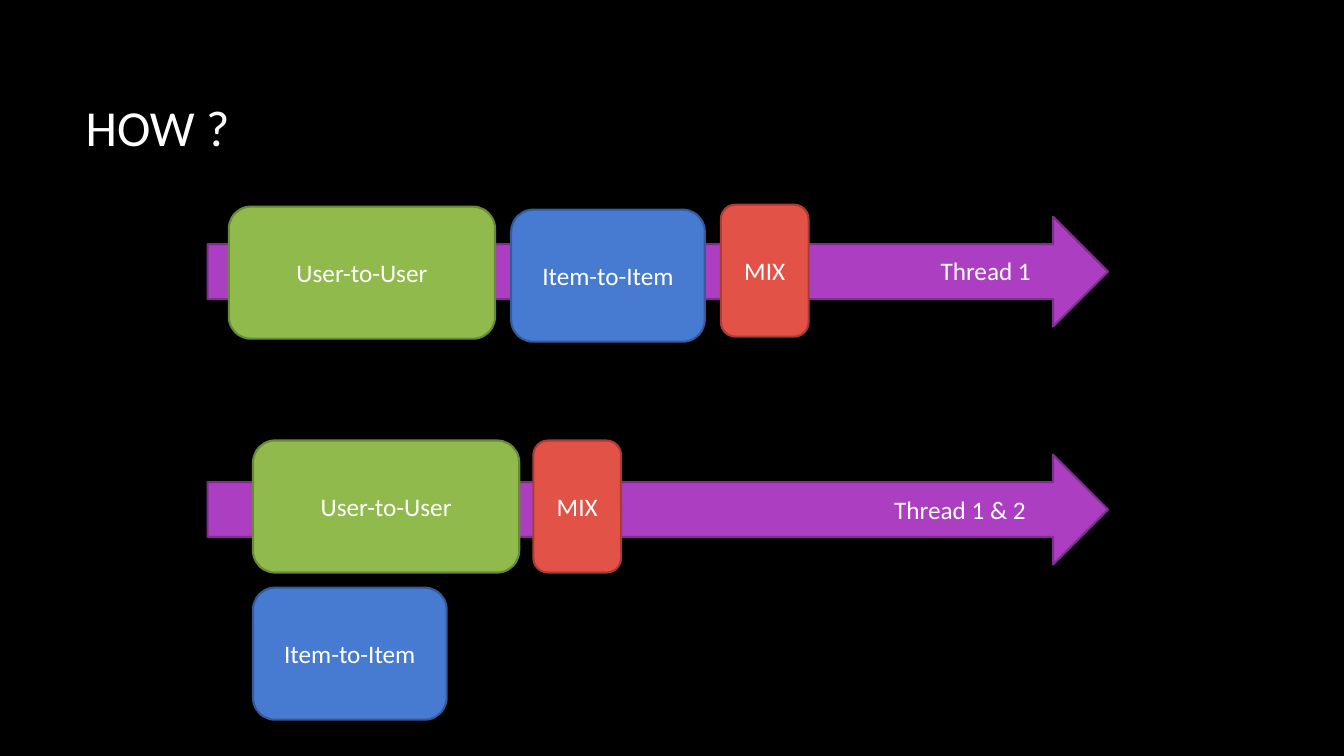
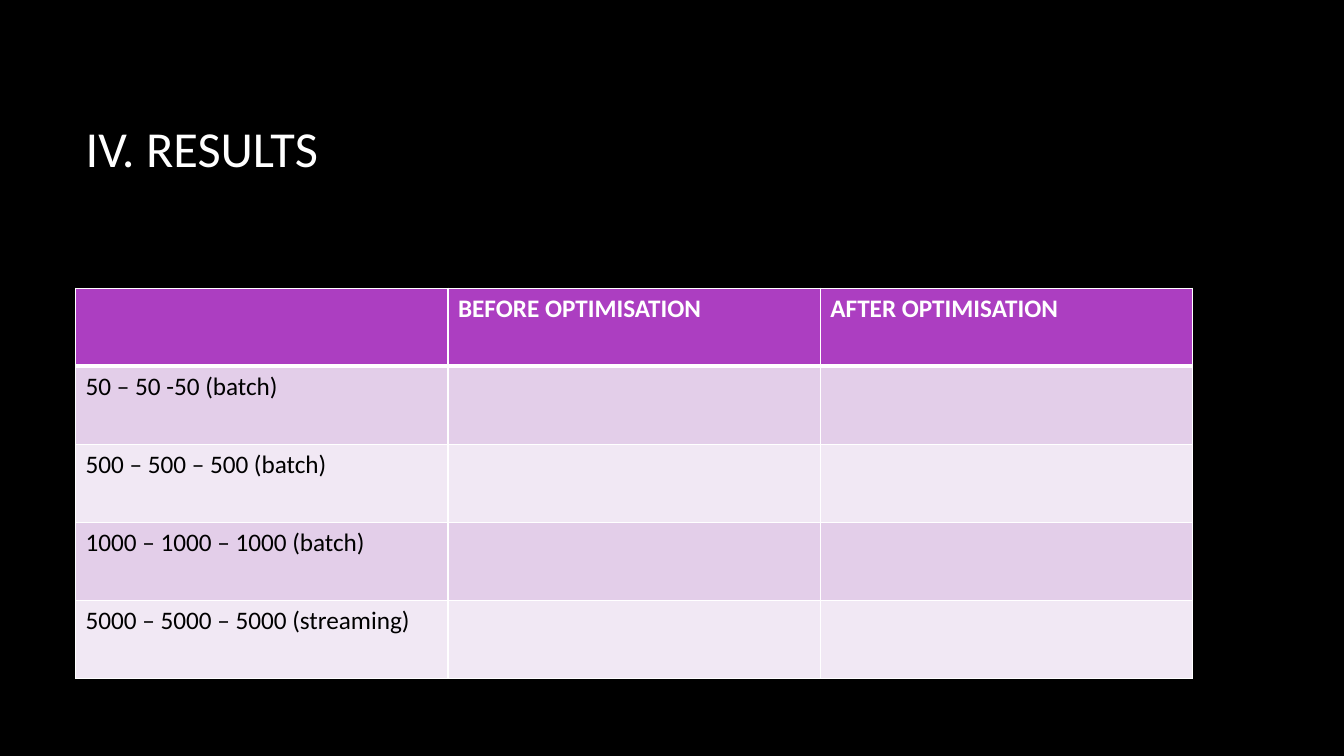
import dataclasses
import typing

import lxml.etree
import pptx
import pptx.dml.color
import pptx.enum.shapes
import pptx.enum.text
import pptx.oxml.ns
import pptx.presentation
import pptx.shapes.autoshape
import pptx.slide
import pptx.table
import pptx.text.text
import pptx.util

Inches = pptx.util.Inches
Pt = pptx.util.Pt
Align = pptx.enum.text.PP_ALIGN
Anchor = pptx.enum.text.MSO_ANCHOR
Preset = pptx.enum.shapes.MSO_SHAPE


@dataclasses.dataclass(frozen=True)
class Theme:
    font: str = "Calibri"
    title_size: float = 36
    body_size: float = 18
    outline: float = 1.5
    rule: float = 1
    header_rule: float = 3
    background: str = "000000"
    light: str = "FFFFFF"
    dark: str = "000000"
    purple: str = "AC3EC1"
    purple_edge: str = "7F2E8F"
    green: str = "90BA4C"
    green_edge: str = "6B8A38"
    blue: str = "477BD1"
    blue_edge: str = "355B9B"
    red: str = "E25247"
    red_edge: str = "A73D35"
    bands: tuple[str, str] = ("E3CEE9", "F1E8F4")


THEME = Theme()
MARGIN = 0.75
CONTENT_WIDTH = 11.08
TASK_HEIGHT = 1.31


@dataclasses.dataclass(frozen=True)
class Task:
    text: str
    width: float
    fill: str
    edge: str


@dataclasses.dataclass(frozen=True)
class Placed:
    task: Task
    left: float
    top: float


@dataclasses.dataclass(frozen=True)
class Thread:
    label: str
    arrow_top: float
    label_left: float
    label_top: float
    label_width: float
    tasks: tuple[Placed, ...]


USER = Task("User-to-User", 2.64, THEME.green, THEME.green_edge)
ITEM = Task("Item-to-Item", 1.92, THEME.blue, THEME.blue_edge)
MIX = Task("MIX", 0.87, THEME.red, THEME.red_edge)

THREADS = (
    Thread("Thread 1", 2.15, 9.23, 2.48, 1.39,
           (Placed(USER, 2.27, 2.05), Placed(ITEM, 5.07, 2.08), Placed(MIX, 7.15, 2.03))),
    Thread("Thread 1 & 2", 4.51, 8.77, 4.86, 1.57,
           (Placed(USER, 2.51, 4.37), Placed(MIX, 5.29, 4.37), Placed(ITEM, 2.51, 5.83))),
)

RESULTS = (
    ("", "BEFORE OPTIMISATION", "AFTER OPTIMISATION"),
    ("50 – 50 -50 (batch)", "", ""),
    ("500 – 500 – 500 (batch)", "", ""),
    ("1000 – 1000 – 1000 (batch)", "", ""),
    ("5000 – 5000 – 5000 (streaming)", "", ""),
)


def rgb(value: str) -> pptx.dml.color.RGBColor:
    return pptx.dml.color.RGBColor.from_string(value)


def apply(target: typing.Any, values: dict[str, typing.Any]) -> None:
    for name, value in values.items():
        setattr(target, name, value)


def write(frame: pptx.text.text.TextFrame, text: str, size: float = THEME.body_size,
          color: str = THEME.light, bold: bool = False, align: Align = Align.LEFT) -> None:
    para = frame.paragraphs[0]
    para.alignment = align
    span = para.add_run()
    span.text = text
    apply(span.font, {"name": THEME.font, "size": Pt(size), "bold": bold})
    span.font.color.rgb = rgb(color)


def add_page(deck: pptx.presentation.Presentation, title: str, top: float) -> pptx.slide.Slide:
    page = deck.slides.add_slide(deck.slide_layouts.get_by_name("Title Only"))
    box = page.shapes.title
    apply(box, {"left": Inches(MARGIN), "top": Inches(top),
                "width": Inches(CONTENT_WIDTH), "height": Inches(1.59)})
    apply(box.text_frame, {"vertical_anchor": Anchor.MIDDLE, "word_wrap": True})
    write(box.text_frame, title, THEME.title_size)
    return page


def add_block(page: pptx.slide.Slide, preset: Preset, left: float, top: float, width: float,
              height: float, fill: str, edge: str) -> pptx.shapes.autoshape.Shape:
    shape = page.shapes.add_shape(preset, Inches(left), Inches(top), Inches(width), Inches(height))
    shape.shadow.inherit = False
    shape.fill.solid()
    shape.fill.fore_color.rgb = rgb(fill)
    shape.line.color.rgb = rgb(edge)
    shape.line.width = Pt(THEME.outline)
    return shape


def add_thread(page: pptx.slide.Slide, thread: Thread) -> None:
    add_block(page, Preset.RIGHT_ARROW, 2.06, thread.arrow_top, 8.93, 1.09,
              THEME.purple, THEME.purple_edge)
    for placed in thread.tasks:
        task = placed.task
        shape = add_block(page, Preset.ROUNDED_RECTANGLE, placed.left, placed.top,
                          task.width, TASK_HEIGHT, task.fill, task.edge)
        shape.text_frame.vertical_anchor = Anchor.MIDDLE
        write(shape.text_frame, task.text, align=Align.CENTER)
    label = page.shapes.add_textbox(Inches(thread.label_left), Inches(thread.label_top),
                                    Inches(thread.label_width), Inches(0.4))
    apply(label.text_frame, {"word_wrap": True,
                             "auto_size": pptx.enum.text.MSO_AUTO_SIZE.SHAPE_TO_FIT_TEXT})
    write(label.text_frame, thread.label)


def set_borders(cell: pptx.table._Cell, widths: dict[str, float]) -> None:
    properties = cell._tc.get_or_add_tcPr()
    for side, width in widths.items():
        line = lxml.etree.SubElement(properties, pptx.oxml.ns.qn(f"a:ln{side}"), w=str(Pt(width)))
        fill = lxml.etree.SubElement(line, pptx.oxml.ns.qn("a:solidFill"))
        lxml.etree.SubElement(fill, pptx.oxml.ns.qn("a:srgbClr"), val=THEME.light)


def add_results(page: pptx.slide.Slide) -> None:
    frame = page.shapes.add_table(len(RESULTS), len(RESULTS[0]), Inches(MARGIN), Inches(2.86),
                                  Inches(CONTENT_WIDTH), Inches(3.87))
    for row, texts in enumerate(RESULTS):
        header = row == 0
        top = THEME.header_rule if row == 1 else THEME.rule
        bottom = THEME.header_rule if header else THEME.rule
        for column, text in enumerate(texts):
            cell = frame.table.cell(row, column)
            set_borders(cell, {"L": THEME.rule, "R": THEME.rule, "T": top, "B": bottom})
            cell.fill.solid()
            cell.fill.fore_color.rgb = rgb(THEME.purple if header else THEME.bands[(row - 1) % 2])
            if text:
                write(cell.text_frame, text, color=THEME.light if header else THEME.dark,
                      bold=header)


def main() -> None:
    deck = pptx.Presentation()
    apply(deck, {"slide_width": Inches(13.33), "slide_height": Inches(7.5)})
    background = deck.slide_master.background.fill
    background.solid()
    background.fore_color.rgb = rgb(THEME.background)

    how = add_page(deck, "HOW ?", 0.46)
    for thread in THREADS:
        add_thread(how, thread)

    add_results(add_page(deck, "IV. RESULTS", 0.67))
    deck.save("out.pptx")


if __name__ == "__main__":
    main()
